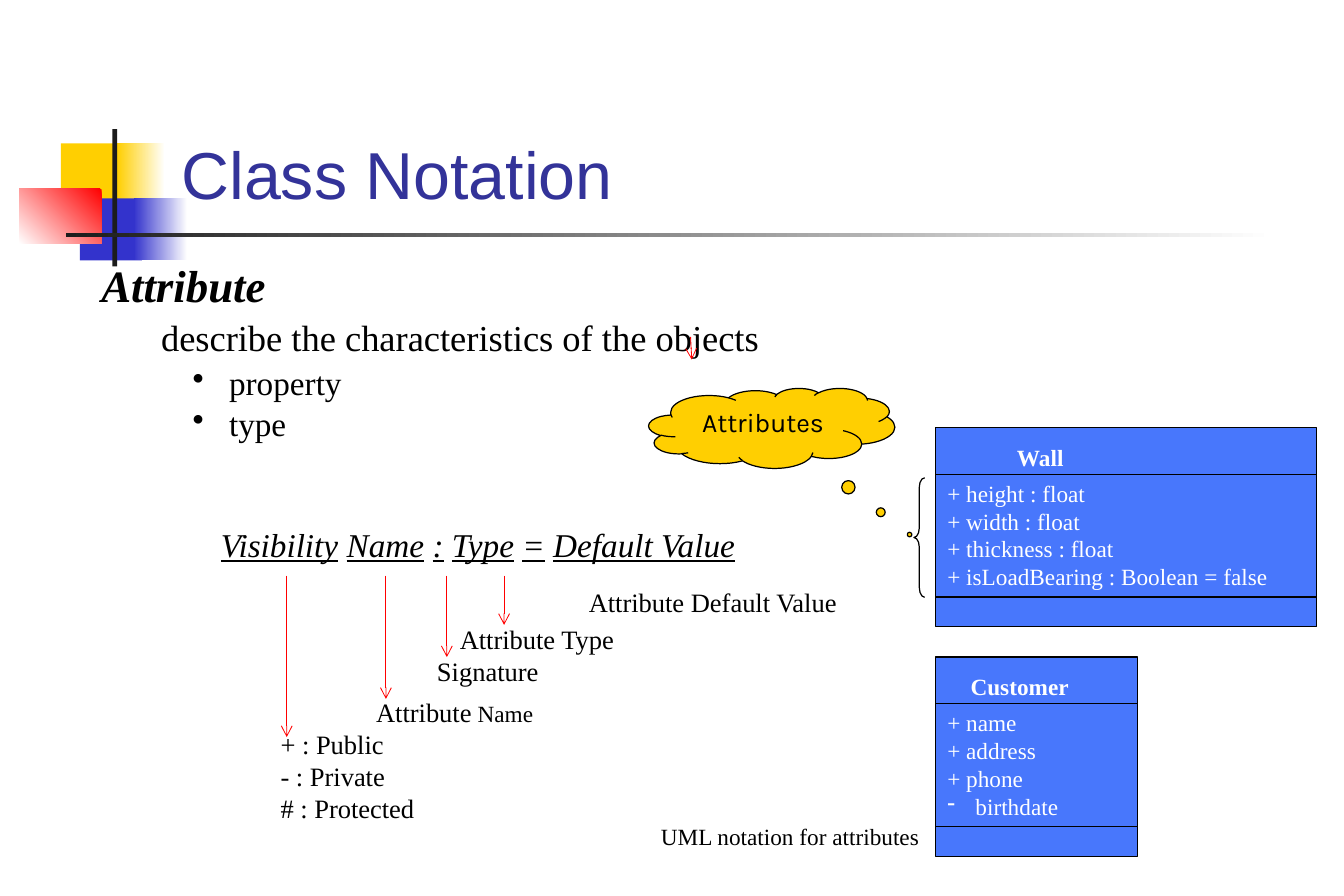
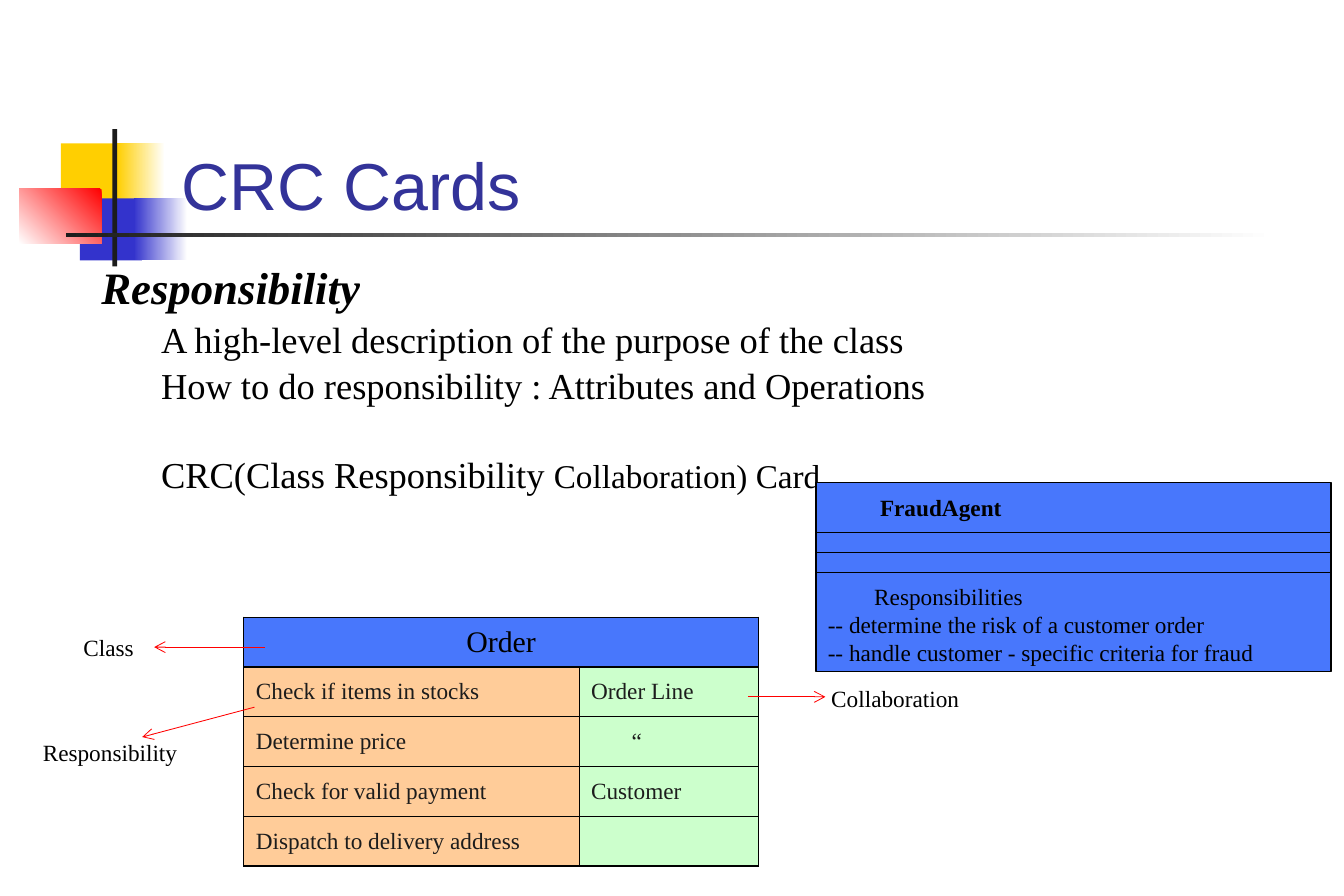
from dataclasses import dataclass
from typing import Optional

from lxml.etree import SubElement
from pptx import Presentation
from pptx.dml.color import RGBColor
from pptx.enum.shapes import MSO_CONNECTOR, MSO_SHAPE
from pptx.enum.text import MSO_ANCHOR, MSO_AUTO_SIZE, PP_ALIGN
from pptx.oxml.ns import qn
from pptx.util import Pt

BLACK = RGBColor(0x00, 0x00, 0x00)
WHITE = RGBColor(0xFF, 0xFF, 0xFF)
INK = RGBColor(0x1C, 0x1C, 0x1C)
RED = RGBColor(0xFF, 0x00, 0x00)
YELLOW = RGBColor(0xFF, 0xCF, 0x01)
BLUE = RGBColor(0x33, 0x33, 0xCC)
TITLE_BLUE = RGBColor(0x33, 0x33, 0x99)
CLASS_BLUE = RGBColor(0x48, 0x77, 0xFC)
ORANGE = RGBColor(0xFF, 0xCC, 0x99)
GREEN = RGBColor(0xCC, 0xFF, 0xCC)
SERIF = "Times New Roman"


@dataclass(frozen=True)
class Run:
    text: str
    size: Optional[float] = None
    underline: bool = False


@dataclass(frozen=True)
class Para:
    runs: str | tuple[Run, ...]
    size: float = 14
    before: float = 0
    left: float = 0
    bullet: str = ""
    hanging: float = 0
    bold: bool = False
    italic: bool = False
    color: RGBColor = BLACK
    font: str = SERIF
    align: PP_ALIGN = PP_ALIGN.LEFT


@dataclass(frozen=True)
class Block:
    left: float
    top: float
    width: float
    height: float
    color: RGBColor
    fade_to: Optional[RGBColor] = None
    angle: float = 180


@dataclass(frozen=True)
class Label:
    left: float
    top: float
    paras: tuple[Para, ...]
    width: float = 100
    height: float = 18


@dataclass(frozen=True)
class ClassBox:
    left: float
    top: float
    width: float
    height: float
    inset: float
    dividers: tuple[float, ...]
    paras: tuple[Para, ...]


@dataclass(frozen=True)
class Line:
    x1: float
    y1: float
    x2: float
    y2: float


BLOCKS = (
    Block(36.7, 86.4, 38.9, 37.4, YELLOW),
    Block(70.6, 86.4, 28.8, 37.4, WHITE, YELLOW),
    Block(48.2, 119.5, 37.4, 37.4, BLUE),
    Block(80.6, 119.5, 32.4, 37.4, WHITE, BLUE),
    Block(11.5, 113.8, 49.7, 33.1, RED, WHITE, 225),
    Block(67.7, 77.8, 2.9, 82.8, INK),
    Block(39.6, 140.4, 728.6, 2.2, WHITE, INK),
)


def write(tf, paras: tuple[Para, ...], anchor=MSO_ANCHOR.TOP, inset: float = 3.6) -> None:
    tf.word_wrap = True
    tf.auto_size = MSO_AUTO_SIZE.NONE
    tf.vertical_anchor = anchor
    tf.margin_top = Pt(inset)
    for i, para in enumerate(paras):
        p = tf.add_paragraph() if i else tf.paragraphs[0]
        p.alignment = para.align
        if para.before:
            p.space_before = Pt(para.before)
        props = p._p.get_or_add_pPr()
        props.set("marL", str(Pt(para.left)))
        props.set("indent", str(Pt(-para.hanging)))
        if para.bullet:
            clr = SubElement(props, qn("a:buClr"))
            SubElement(clr, qn("a:srgbClr"), val=str(para.color))
            SubElement(props, qn("a:buChar"), char=para.bullet)
        runs = (Run(para.runs),) if isinstance(para.runs, str) else para.runs
        for run in runs:
            r = p.add_run()
            r.text = run.text
            if run.size:
                r.font.size = Pt(run.size)
            if run.underline:
                r.font.underline = True
        f = p.font
        f.name, f.size, f.bold, f.italic = para.font, Pt(para.size), para.bold, para.italic
        f.color.rgb = para.color


def add_shape(s, kind, left: float, top: float, width: float, height: float,
              fill: Optional[RGBColor] = None, line: Optional[RGBColor] = BLACK):
    sp = s.shapes.add_shape(kind, Pt(left), Pt(top), Pt(width), Pt(height))
    sp.shadow.inherit = False
    if fill is None:
        sp.fill.background()
    else:
        sp.fill.solid()
        sp.fill.fore_color.rgb = fill
    if line is None:
        sp.line.fill.background()
    else:
        sp.line.color.rgb = line
        sp.line.width = Pt(0.75)
    return sp


def add_line(s, line: Line, color: RGBColor = BLACK, width: float = 0.75, arrow: bool = False) -> None:
    c = s.shapes.add_connector(MSO_CONNECTOR.STRAIGHT, Pt(line.x1), Pt(line.y1), Pt(line.x2), Pt(line.y2))
    c.line.color.rgb = color
    c.line.width = Pt(width)
    if arrow:
        SubElement(c.line._get_or_add_ln(), qn("a:tailEnd"), type="arrow")
    SubElement(c._element.spPr, qn("a:effectLst"))


def add_arrows(s, arrows: tuple[Line, ...]) -> None:
    for arrow in arrows:
        add_line(s, arrow, RED, 0.5, True)


def add_text(s, label: Label, anchor=MSO_ANCHOR.MIDDLE, inset: float = 3.6) -> None:
    sp = s.shapes.add_textbox(Pt(label.left), Pt(label.top), Pt(label.width), Pt(label.height))
    write(sp.text_frame, label.paras, anchor, inset)


def add_class(s, box: ClassBox) -> None:
    sp = add_shape(s, MSO_SHAPE.RECTANGLE, box.left, box.top, box.width, box.height, CLASS_BLUE)
    write(sp.text_frame, box.paras, inset=box.inset)
    for offset in box.dividers:
        y = box.top + offset
        add_line(s, Line(box.left, y, box.left + box.width, y))


def add_slide(prs, title: str, title_top: float, body: Label):
    s = prs.slides.add_slide(prs.slide_layouts[5])
    for b in BLOCKS:
        sp = add_shape(s, MSO_SHAPE.RECTANGLE, b.left, b.top, b.width, b.height, b.color, None)
        if b.fade_to is not None:
            sp.fill.gradient()
            sp.fill.gradient_angle = b.angle
            for stop, color in zip(sp.fill.gradient_stops, (b.color, b.fade_to)):
                stop.color.rgb = color
    add_text(s, body, MSO_ANCHOR.TOP, 6.5)
    sp = s.shapes.title
    sp.left, sp.top, sp.width, sp.height = Pt(102.2), Pt(title_top), Pt(655), Pt(90)
    write(sp.text_frame, (Para(title, 40, color=TITLE_BLUE, font="Arial"),), MSO_ANCHOR.BOTTOM)
    sp.text_frame.paragraphs[0].line_spacing = 1.04
    sp.element.getparent().append(sp.element)
    return s


def heading(text: str) -> Para:
    return Para(text, 27, bold=True, italic=True)


def signature(*words: str) -> tuple[Run, ...]:
    runs = []
    for word in words:
        if runs:
            runs.append(Run(" "))
        runs.append(Run(word, underline=True))
    return tuple(runs)


def white_class(left: float, top: float, width: float, name: Para, items: tuple[str, ...],
                last: tuple[Para, ...] = ()) -> ClassBox:
    attrs = tuple(Para(t, before=0 if i else 4.6, color=WHITE) for i, t in enumerate(items))
    return ClassBox(left, top, width, 120, 9.4, (28, 102), (name, *attrs, *last))


def add_order_card(s) -> None:
    rows = (("Check if items in stocks", "Order Line"), ("Determine price", "“"),
            ("Check for valid payment", "Customer"), ("Dispatch to delivery address", ""))
    frame = s.shapes.add_table(len(rows) + 1, 2, Pt(147), Pt(372), Pt(310), Pt(150))
    table = frame.table
    table.first_row = table.horz_banding = False
    for col, width in zip(table.columns, (202, 108)):
        col.width = Pt(width)
    for row in table.rows:
        row.height = Pt(30)
    for cell in table.iter_cells():
        props = cell._tc.get_or_add_tcPr()
        for side in ("a:lnL", "a:lnR", "a:lnT", "a:lnB"):
            ln = SubElement(props, qn(side), w=str(Pt(0.75)))
            SubElement(SubElement(ln, qn("a:solidFill")), qn("a:srgbClr"), val=str(BLACK))
    head = table.cell(0, 0)
    head.merge(table.cell(0, 1))
    cells = [(head, Para("Order", 18, align=PP_ALIGN.CENTER), CLASS_BLUE)]
    for i, texts in enumerate(rows, 1):
        for j, (text, fill) in enumerate(zip(texts, (ORANGE, GREEN))):
            left = 24.5 if text == "“" else 0
            cells.append((table.cell(i, j), Para(text, left=left, color=INK), fill))
    for cell, para, fill in cells:
        cell.fill.solid()
        cell.fill.fore_color.rgb = fill
        cell.vertical_anchor = MSO_ANCHOR.MIDDLE
        if para.runs:
            p = cell.text_frame.paragraphs[0]
            p.alignment = para.align
            p._p.get_or_add_pPr().set("marL", str(Pt(para.left)))
            r = p.add_run()
            r.text = para.runs
            p.font.name, p.font.size = para.font, Pt(para.size)
            p.font.color.rgb = para.color


def class_notation(prs) -> None:
    s = add_slide(prs, "Class Notation", 41.8, Label(54, 149, (
        heading("Attribute"),
        Para("describe the characteristics of the objects", 22, 2, 36),
        Para("property", 20, 2, 77, "•", 22),
        Para("type", 20, 1, 77, "•", 22),
        Para(signature("Visibility", "Name", ":", "Type", "=", "Default Value"), 20, 48.7, 72, italic=True),
    ), 708.5, 228))
    add_class(s, white_class(563.8, 396, 121.7, Para("Customer", left=14, bold=True, color=WHITE),
                             ("+ name", "+ address", "+ phone"),
                             (Para("birthdate", left=17, bullet="-", hanging=17, color=WHITE),)))
    add_class(s, white_class(563.8, 257.8, 229.7, Para("Wall", left=42, bold=True, color=WHITE),
                             ("+ height : float", "+ width : float", "+ thickness : float",
                              "+ isLoadBearing : Boolean = false")))
    for label in (
        Label(162, 443.5, tuple(Para(t, 16) for t in ("+ : Public", "- : Private", "# : Protected")), height=48),
        Label(219.6, 419.8, (Para((Run("Attribute"), Run(" Name", 14)), 16),), 120),
        Label(256.3, 395.3, (Para("Signature", 16),)),
        Label(270, 375.8, (Para("Attribute Type", 16),), 120),
        Label(347.8, 353.5, (Para("Attribute Default Value", 16),), 175),
    ):
        add_text(s, label)
    drops = ((172.8, 444.2), (232.6, 421.2), (269.3, 396), (303.8, 376.6))
    add_arrows(s, tuple(Line(x, 347, x, y) for x, y in drops) + (Line(416.2, 203, 416.9, 216.7),))
    brace = add_shape(s, MSO_SHAPE.LEFT_BRACE, 550.8, 288, 6.5, 72)
    brace.adjustments[0] = 0.89
    cloud = add_shape(s, MSO_SHAPE.CLOUD_CALLOUT, 391, 234, 148.3, 48.2, YELLOW)
    cloud.adjustments[0], cloud.adjustments[1] = 0.56, 1.33
    write(cloud.text_frame, (Para("Attributes", 16, font="Karla", align=PP_ALIGN.CENTER),))
    add_text(s, Label(390.2, 491.8, (Para("UML notation for attributes", align=PP_ALIGN.CENTER),), 172, 24.5),
             MSO_ANCHOR.TOP)


def crc_cards(prs) -> None:
    s = add_slide(prs, "CRC Cards", 48.2, Label(54, 149.8, (
        heading("Responsibility"),
        Para("A high-level description of the purpose of the class", 22, 2.6, 36),
        Para("How to do responsibility : Attributes and Operations", 22, 1.2, 36),
        Para((Run("CRC(Class Responsibility "), Run("Collaboration) Card", 20)), 22, 27, 36),
    ), 708.5, 380))
    add_class(s, ClassBox(491.8, 290.9, 310.4, 113.8, 6.4, (30, 42, 54), (
        Para("FraudAgent", left=31.5, bold=True),
        Para("Responsibilities", before=37, left=28),
        Para("-- determine the risk of a customer order"),
        Para("-- handle customer - specific criteria for fraud"),
    )))
    add_order_card(s)
    for left, top, text in ((43.2, 380.9, "Class"), (18.7, 444.2, "Responsibility"), (493.9, 411.8, "Collaboration")):
        add_text(s, Label(left, top, (Para(text),)))
    add_arrows(s, (Line(159.8, 390, 92.9, 390), Line(153.4, 426.2, 85.7, 444.2), Line(450.7, 420, 497.5, 420)))


def main() -> None:
    prs = Presentation()
    prs.slide_width, prs.slide_height = Pt(810), Pt(540)
    class_notation(prs)
    crc_cards(prs)
    prs.save("out.pptx")


if __name__ == "__main__":
    main()
